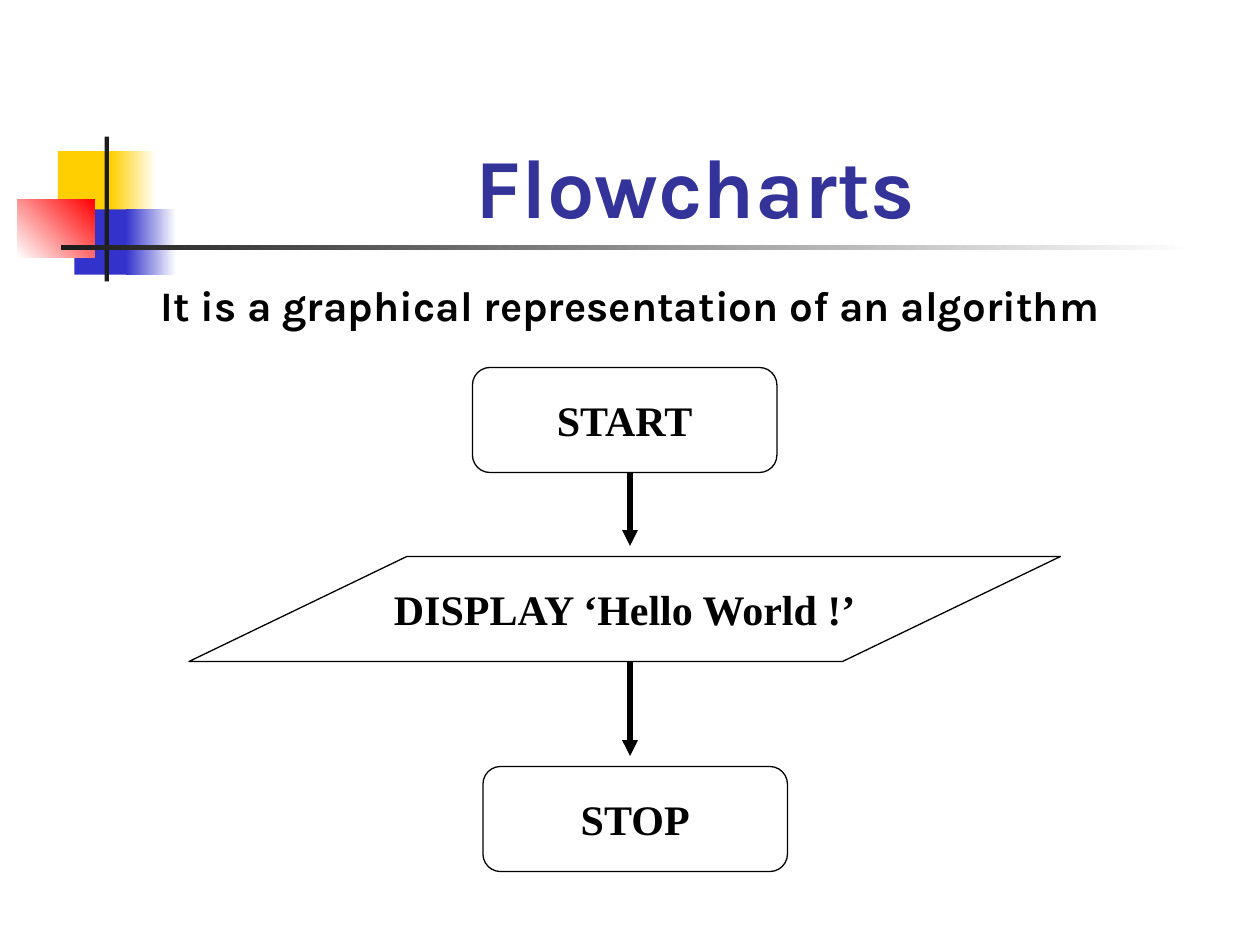
from lxml import etree
from pptx import Presentation
from pptx.dml.color import RGBColor
from pptx.enum import shapes, text
from pptx.oxml import ns
from pptx.util import Pt

BLACK = RGBColor(0x00, 0x00, 0x00)
WHITE = RGBColor(0xFF, 0xFF, 0xFF)
CHARCOAL = RGBColor(0x1C, 0x1C, 0x1C)
YELLOW = RGBColor(0xFF, 0xCF, 0x01)
BLUE = RGBColor(0x33, 0x33, 0xCC)
RED = RGBColor(0xFF, 0x00, 0x00)
INDIGO = RGBColor(0x33, 0x33, 0x99)

SHAPE = shapes.MSO_SHAPE
ANCHOR = text.MSO_ANCHOR
ARROW_X = 360
STEP_HEIGHT = 60


def write(box, words, *, font, size, color=BLACK, anchor=ANCHOR.TOP,
          wrap=True, space_before=0):
    """Put one bold, centred paragraph into the box."""
    frame = box.text_frame
    frame.word_wrap = wrap
    frame.vertical_anchor = anchor
    para = frame.paragraphs[0]
    para.alignment = text.PP_ALIGN.CENTER
    para.space_before = Pt(space_before)
    span = para.add_run()
    span.text = words
    span.font.name = font
    span.font.size = Pt(size)
    span.font.bold = True
    span.font.color.rgb = color


def add_text(page, bounds, words, **style):
    box = page.shapes.add_textbox(*map(Pt, bounds))
    write(box, words, **style)


def add_block(page, bounds, start, end=None, angle=0):
    """Add a borderless rectangle, shaded from start to end if end is given."""
    block = page.shapes.add_shape(SHAPE.RECTANGLE, *map(Pt, bounds))
    block.shadow.inherit = False
    block.line.fill.background()
    if end is None:
        block.fill.solid()
        block.fill.fore_color.rgb = start
        return
    block.fill.gradient()
    block.fill.gradient_angle = angle
    for stop, color in zip(block.fill.gradient_stops, (start, end)):
        stop.color.rgb = color


def add_step(page, kind, left, top, width, words, adjustment):
    step = page.shapes.add_shape(kind, Pt(left), Pt(top), Pt(width), Pt(STEP_HEIGHT))
    step.shadow.inherit = False
    step.adjustments[0] = adjustment
    step.fill.solid()
    step.fill.fore_color.rgb = WHITE
    step.line.color.rgb = BLACK
    step.line.width = Pt(0.75)
    write(step, words, font="Times New Roman", size=24,
          anchor=ANCHOR.MIDDLE, wrap=False)


def add_down_arrow(page, top, bottom):
    arrow = page.shapes.add_connector(
        shapes.MSO_CONNECTOR.STRAIGHT, Pt(ARROW_X), Pt(top), Pt(ARROW_X), Pt(bottom))
    arrow.line.color.rgb = BLACK
    arrow.line.width = Pt(3)
    etree.SubElement(arrow.line._get_or_add_ln(), ns.qn("a:tailEnd"), type="triangle")
    etree.SubElement(arrow._element.spPr, ns.qn("a:effectLst"))


def add_ornament(page):
    add_block(page, (33.1, 86.4, 34.6, 37.4), YELLOW)
    add_block(page, (63.4, 86.4, 25.9, 37.4), YELLOW, WHITE)
    add_block(page, (42.5, 119.6, 33.1, 37.4), BLUE)
    add_block(page, (72, 119.6, 28.8, 37.4), BLUE, WHITE)
    add_block(page, (9.9, 113.8, 44.2, 33.3), WHITE, RED, angle=45)
    add_block(page, (59.8, 78, 2.5, 82.8), CHARCOAL)
    add_block(page, (34.7, 140.2, 648, 2.5), CHARCOAL, WHITE)


def add_flowchart(page):
    start_top, display_top, stop_top = 210, 318, 438
    add_step(page, SHAPE.ROUNDED_RECTANGLE, 270, start_top, 174, "START", 0.167)
    add_step(page, SHAPE.PARALLELOGRAM, 108, display_top, 498,
             "DISPLAY ‘Hello World !’", 2.075)
    add_step(page, SHAPE.ROUNDED_RECTANGLE, 276, stop_top, 174, "STOP", 0.167)
    for above, below in ((start_top, display_top), (display_top, stop_top)):
        add_down_arrow(page, above + STEP_HEIGHT, below - 6)


def main():
    deck = Presentation()
    deck.slide_width, deck.slide_height = Pt(720), Pt(540)
    page = deck.slides.add_slide(deck.slide_layouts[6])
    add_ornament(page)
    add_text(page, (90.7, 48.2, 613.4, 90), "Flowcharts",
             font="Karla", size=48, color=INDIGO, anchor=ANCHOR.BOTTOM)
    add_text(page, (54, 156.2, 612, 36),
             "It is a graphical representation of an algorithm",
             font="Karla", size=24, space_before=15)
    add_flowchart(page)
    deck.save("out.pptx")


if __name__ == "__main__":
    main()
